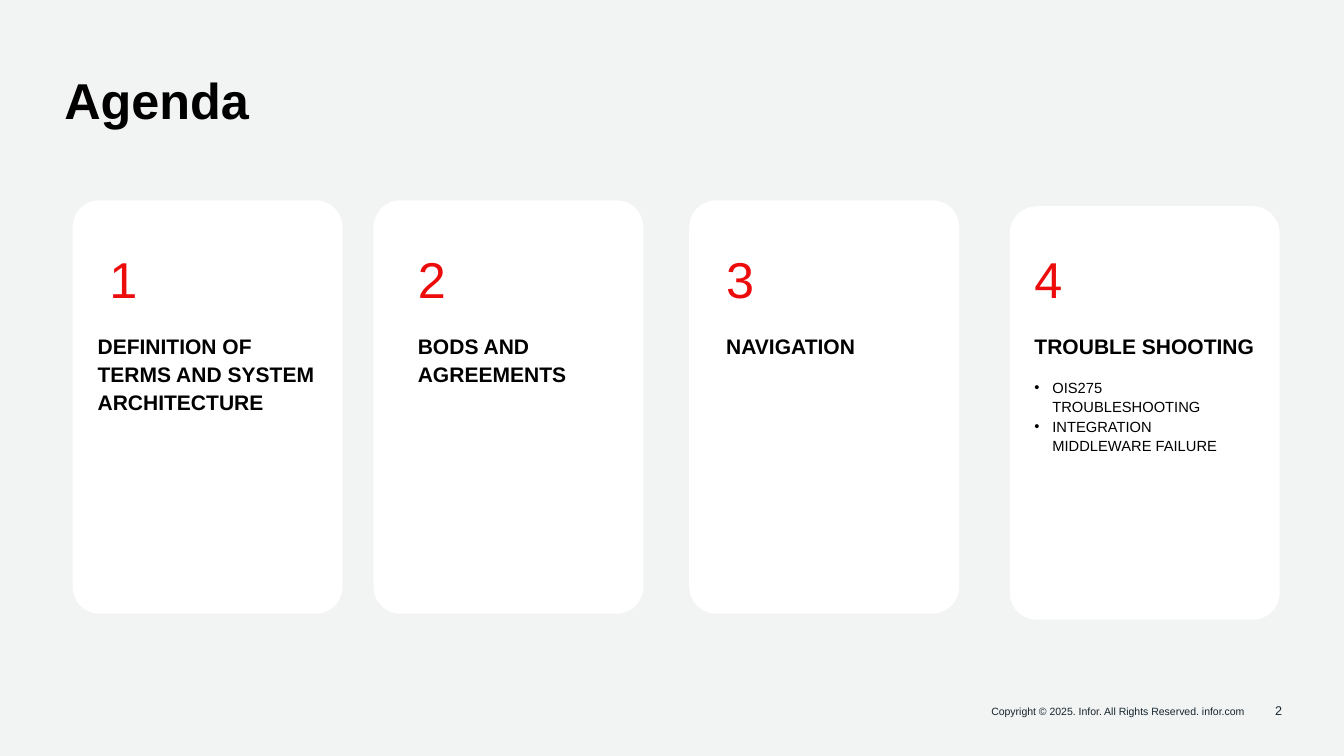
import dataclasses

import pptx
import pptx.dml.color
import pptx.enum.shapes
import pptx.enum.text
import pptx.oxml.ns
import pptx.util
from lxml import etree
from pptx.util import Cm


@dataclasses.dataclass(frozen=True)
class Theme:
    font: str = "Arial"
    background: str = "F2F3F3"
    card: str = "FFFFFF"
    ink: str = "000000"
    accent: str = "ED0C0C"
    footer: str = "15262E"
    display_size: int = 48
    heading_size: int = 20
    list_size: int = 14
    number_size: int = 12
    copyright_size: int = 10


theme = Theme()
color = pptx.dml.color.RGBColor.from_string
align = pptx.enum.text.PP_ALIGN
anchor = pptx.enum.text.MSO_ANCHOR


def prepare_frame(box, vertical=anchor.TOP, wrap=True):
    """Remove the margins and autofit of a box and return its text frame."""
    frame = box.text_frame
    frame.margin_left = frame.margin_top = frame.margin_right = frame.margin_bottom = 0
    frame.auto_size = pptx.enum.text.MSO_AUTO_SIZE.NONE
    frame.vertical_anchor = vertical
    frame.word_wrap = wrap
    return frame


def write(para, text, size, ink, bold=False, alignment=align.LEFT, spacing=1.0):
    para.alignment = alignment
    para.line_spacing = spacing
    para.space_before = pptx.util.Pt(0)
    span = para.add_run()
    span.text = text
    span.font.name = theme.font
    span.font.size = pptx.util.Pt(size)
    span.font.bold = bold
    span.font.color.rgb = color(ink)


deck = pptx.Presentation()
deck.slide_width, deck.slide_height = Cm(45.16), Cm(25.4)
page = deck.slides.add_slide(deck.slide_layouts[1])
page.background.fill.solid()
page.background.fill.fore_color.rgb = color(theme.background)

# Title
title = page.shapes.title
title.left, title.top, title.width, title.height = Cm(2.16), Cm(2.31), Cm(13.46), Cm(2.82)
write(prepare_frame(title).paragraphs[0], "Agenda", theme.display_size, theme.ink, bold=True)

# Agenda cards: card left, card top, heading shift from the text column, heading
topics = [
    (2.44, 6.73, -0.4, "DEFINITION OF TERMS AND SYSTEM ARCHITECTURE"),
    (12.55, 6.73, 0, "BODS AND AGREEMENTS"),
    (23.16, 6.73, 0, "NAVIGATION"),
    (33.93, 6.93, 0, "TROUBLE SHOOTING"),
]
first_column, column_step = 3.68, 10.36
heading_heights = [2.74, 1.8, 0.86, 0.86]

for index, (left, top, shift, heading) in enumerate(topics):
    card = page.shapes.add_shape(
        pptx.enum.shapes.MSO_SHAPE.ROUNDED_RECTANGLE, Cm(left), Cm(top), Cm(9.07), Cm(13.89))
    card.adjustments[0] = 0.1
    card.shadow.inherit = False
    card.fill.solid()
    card.fill.fore_color.rgb = color(theme.card)
    card.line.fill.background()

    column = first_column + index * column_step
    number_box = page.shapes.add_textbox(Cm(column), Cm(8.33), Cm(2.41), Cm(2.06))
    write(prepare_frame(number_box).paragraphs[0], str(index + 1),
          theme.display_size, theme.accent)

    heading_box = page.shapes.add_textbox(
        Cm(column + shift), Cm(11.13), Cm(7.39), Cm(heading_heights[index]))
    write(prepare_frame(heading_box).paragraphs[0], heading,
          theme.heading_size, theme.ink, bold=True, spacing=1.1)

# Bulleted list in the last card, brought in front of it
list_box = page.placeholders[1]
list_box.left, list_box.top = Cm(first_column + 3 * column_step), Cm(12.67)
list_box.width, list_box.height = Cm(7.2), Cm(1.93)
list_box.element.getparent().append(list_box.element)
list_frame = prepare_frame(list_box)
for index, item in enumerate(["OIS275 TROUBLESHOOTING", "INTEGRATION MIDDLEWARE FAILURE"]):
    para = list_frame.paragraphs[0] if index == 0 else list_frame.add_paragraph()
    properties = para._p.get_or_add_pPr()
    properties.set("marL", str(Cm(0.6)))
    properties.set("indent", str(-Cm(0.6)))
    bullet = etree.SubElement(properties, pptx.oxml.ns.qn("a:buChar"))
    bullet.set("char", "•")
    write(para, item, theme.list_size, theme.ink, spacing=1.1)

# Footer
footers = [
    ("Copyright © 2025. Infor. All Rights Reserved. infor.com",
     theme.copyright_size, (33.17, 23.67, 8.64, 0.43)),
    ("2", theme.number_size, (41.33, 23.29, 1.75, 1.17)),
]
for text, size, bounds in footers:
    footer_box = page.shapes.add_textbox(*map(Cm, bounds))
    frame = prepare_frame(footer_box, anchor.MIDDLE, wrap=size == theme.copyright_size)
    write(frame.paragraphs[0], text, size, theme.footer, alignment=align.RIGHT)

deck.save("out.pptx")
